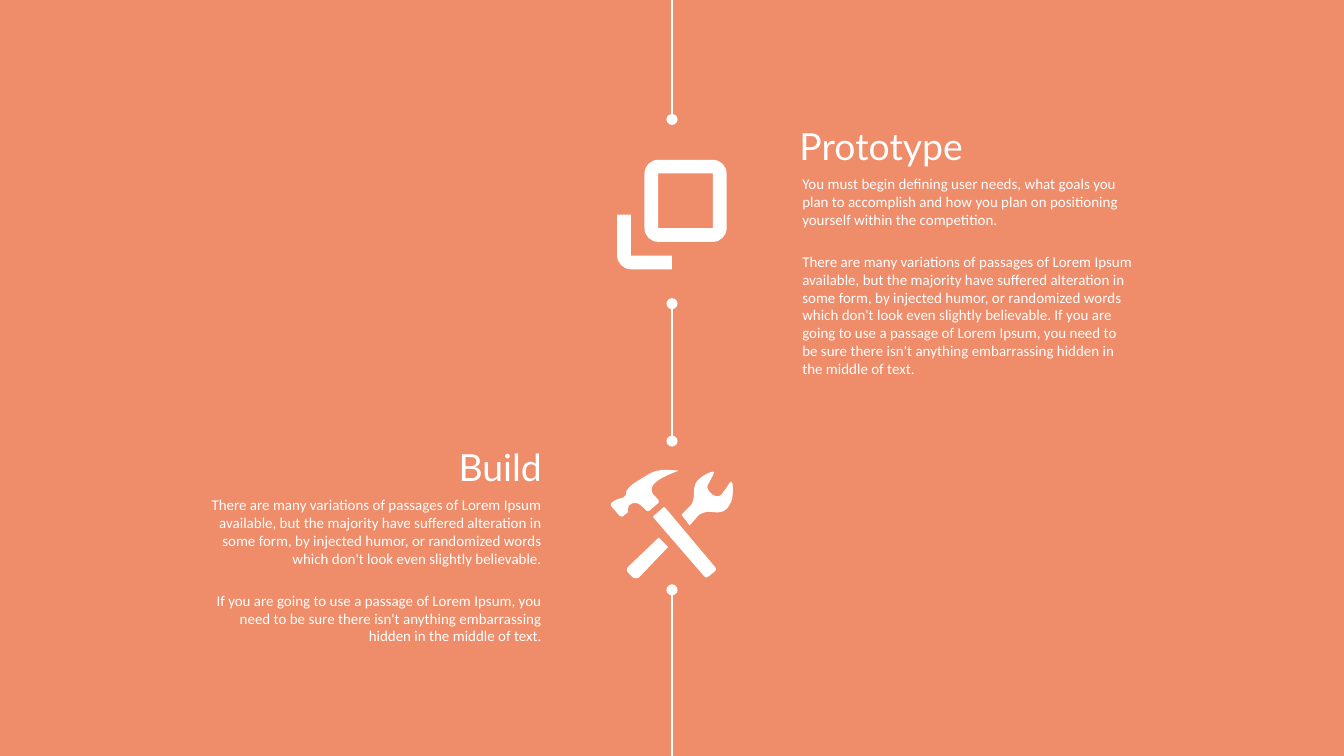
from lxml import etree
from pptx import Presentation
from pptx import util as u
from pptx.dml.color import RGBColor
from pptx.enum import shapes, text
from pptx.oxml.ns import qn

Pt = u.Pt
COLORS = {"background": "EF8C6A", "ink": "FFFFFF"}
LEFT, RIGHT = text.PP_ALIGN.LEFT, text.PP_ALIGN.RIGHT
BODY_WIDTH = 192

# Icon contours on a grid: a pair is a straight step, six numbers a cubic curve.
SQUARES = [
    [(7, 0), (3, 0), (2.45, 0, 2, .45, 2, 1), (2, 5), (2, 5.55, 2.45, 6, 3, 6),
     (7, 6), (7.55, 6, 8, 5.55, 8, 5), (8, 1), (8, .45, 7.55, 0, 7, 0)],
    [(7, 5), (3, 5), (3, 1), (7, 1)],
    [(1, 4), (0, 4), (0, 7), (0, 7.55, .45, 8, 1, 8), (4, 8), (4, 7), (1, 7)],
]
HAMMER_HEAD = [
    (14, 27), (19, 23, 22, 26, 27, 31), (28, 32, 28, 31, 29, 31), (36, 25),
    (36, 24, 36, 24, 36, 23), (35, 23, 34, 20, 32, 19), (24, 8, 55, 1, 50, 1),
    (48, 1, 38, 0, 37, 1), (31, 1, 24, 7, 20, 9), (15, 12, 13, 15, 13, 15),
    (11, 16, 13, 19, 10, 21), (8, 23, 6, 21, 4, 23), (1, 25),
    (0, 26, 0, 27, 1, 28), (7, 35), (8, 35, 9, 36, 10, 35),
    (10, 34, 13, 33, 13, 32), (13, 32, 13, 28, 14, 27),
]
HAMMER_HANDLE = [
    (41, 29), (40, 28, 39, 28, 39, 29), (32, 35), (32, 36), (70, 80),
    (71, 81, 72, 81, 73, 80), (78, 76), (79, 75, 79, 74, 78, 73),
]
WRENCH_HEAD = [
    (91, 11), (91, 9, 89, 9, 89, 10), (88, 11, 86, 15, 84, 17),
    (83, 19, 81, 22, 76, 19), (71, 15, 72, 12, 73, 11), (74, 9, 77, 4, 77, 3),
    (78, 3, 77, 1, 76, 2), (74, 2, 64, 7, 63, 12), (61, 18, 64, 23, 59, 28),
    (53, 34), (59, 42), (66, 34), (68, 33, 72, 31, 76, 32),
    (83, 33, 87, 31, 89, 26), (92, 22, 91, 13, 91, 11),
]
WRENCH_HANDLE = [
    (13, 73), (12, 74, 12, 76, 13, 77), (17, 81), (18, 82, 19, 81, 21, 81),
    (43, 58), (36, 51),
]
TOOLS = [HAMMER_HEAD, HAMMER_HANDLE, WRENCH_HEAD, WRENCH_HANDLE]


def color(name):
    return RGBColor.from_string(COLORS[name])


def add_text(slide, paragraphs, left, top, width, height, *, font, size,
             align=LEFT, anchor=text.MSO_ANCHOR.TOP, gap=0):
    frame = slide.shapes.add_textbox(Pt(left), Pt(top), Pt(width), Pt(height)).text_frame
    frame.word_wrap = True
    frame.vertical_anchor = anchor
    for index, words in enumerate(paragraphs):
        paragraph = frame.add_paragraph() if index else frame.paragraphs[0]
        paragraph.text = words
        paragraph.alignment = align
        if index:
            paragraph.space_before = Pt(gap)
        paragraph.font.name = font
        paragraph.font.size = Pt(size)
        paragraph.font.color.rgb = color("ink")


def add_stage(slide, title, body, left, top, width, *, body_offset, body_height, align):
    """A heading with its description below."""
    add_text(slide, [title], left, top, width, 34.6, font="Lato", size=20,
             align=align, anchor=text.MSO_ANCHOR.MIDDLE)
    add_text(slide, body, left + body_offset, top + 29.6, BODY_WIDTH, body_height,
             font="Calibri", size=8, align=align, gap=12.8)


def add_timeline_line(slide, x, top, bottom, *ends):
    """A vertical line with round dots at the given ends."""
    line = slide.shapes.add_connector(
        shapes.MSO_CONNECTOR.STRAIGHT, Pt(x), Pt(top), Pt(x), Pt(bottom))
    line.line.color.rgb = color("ink")
    line.line.width = Pt(0.75)
    for end in ends:
        etree.SubElement(line.line._get_or_add_ln(), qn(f"a:{end}"), type="oval")
    etree.SubElement(line._element.spPr, qn("a:effectLst"))


def bend_steps(icon, contours, unit):
    """Turn the straight steps that have control points into cubic curves."""
    corners = [step[-2:] for contour in contours for step in contour]
    min_x, min_y = (min(values) for values in zip(*corners))
    steps = [step for contour in contours for step in contour[1:]]
    for line, step in zip(list(icon._element.iter(qn("a:lnTo"))), steps):
        if len(step) == 2:
            continue
        line.tag = qn("a:cubicBezTo")
        for index in (0, 1):
            x, y = step[2 * index:2 * index + 2]
            control = etree.Element(qn("a:pt"), x=str(Pt((x - min_x) * unit)),
                                    y=str(Pt((y - min_y) * unit)))
            line.insert(index, control)


def add_icon(slide, contours, left, top, unit):
    outlines = [[(Pt(left + x * unit), Pt(top + y * unit))
                 for x, y in (step[-2:] for step in contour)] for contour in contours]
    builder = slide.shapes.build_freeform(*outlines[0][0])
    for index, outline in enumerate(outlines):
        if index:
            builder.move_to(*outline[0])
        builder.add_line_segments(outline[1:], close=True)
    icon = builder.convert_to_shape()
    bend_steps(icon, contours, unit)
    icon.shadow.inherit = False
    icon.fill.solid()
    icon.fill.fore_color.rgb = color("ink")
    icon.line.fill.background()


def main():
    deck = Presentation()
    deck.slide_width, deck.slide_height = Pt(720), Pt(405)
    slide = deck.slides.add_slide(deck.slide_layouts[6])
    slide.background.fill.solid()
    slide.background.fill.fore_color.rgb = color("background")

    # Stage on the right
    add_stage(slide, "Prototype", [
        "You must begin defining user needs, what goals you plan to accomplish and "
        "how you plan on positioning yourself within the competition.",
        "There are many variations of passages of Lorem Ipsum available, but the "
        "majority have suffered alteration in some form, by injected humor, or "
        "randomized words which don't look even slightly believable. If you are going "
        "to use a passage of Lorem Ipsum, you need to be sure there isn't anything "
        "embarrassing hidden in the middle of text.",
    ], 421.2, 60.5, 226.8, body_offset=1.5, body_height=120, align=LEFT)

    # Timeline down the middle
    add_timeline_line(slide, 360, 0, 64, "tailEnd")
    add_timeline_line(slide, 360, 162.7, 236.3, "headEnd", "tailEnd")

    # Stage on the left
    add_stage(slide, "Build", [
        "There are many variations of passages of Lorem Ipsum available, but the "
        "majority have suffered alteration in some form, by injected humor, or "
        "randomized words which don't look even slightly believable.",
        "If you are going to use a passage of Lorem Ipsum, you need to be sure there "
        "isn't anything embarrassing hidden in the middle of text.",
    ], 70.6, 232.5, 226.8, body_offset=226.8 - BODY_WIDTH, body_height=44, align=RIGHT)

    # Icons in the gaps of the timeline, and its last line
    add_icon(slide, SQUARES, 330.6, 85.6, 7.33)
    add_icon(slide, TOOLS, 327, 251.3, 0.72)
    add_timeline_line(slide, 360, 316, 405, "headEnd")

    deck.save("out.pptx")


if __name__ == "__main__":
    main()
